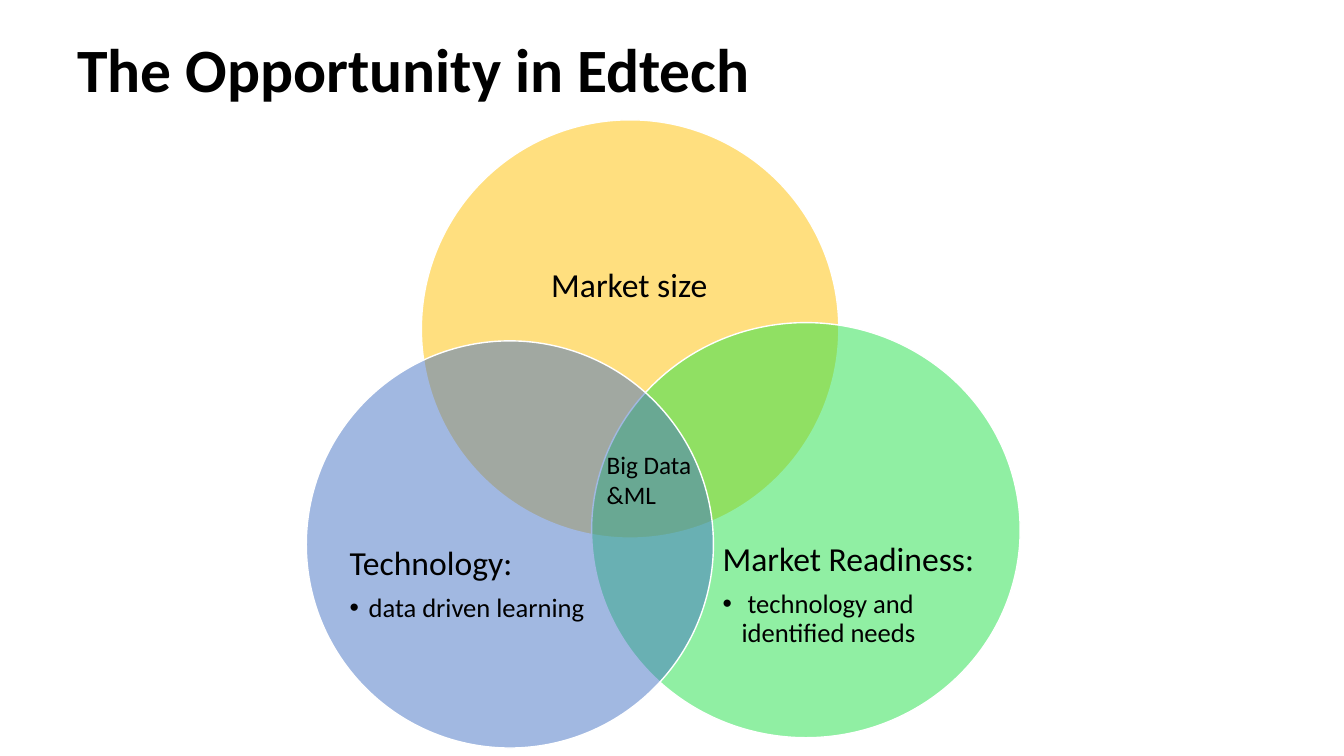
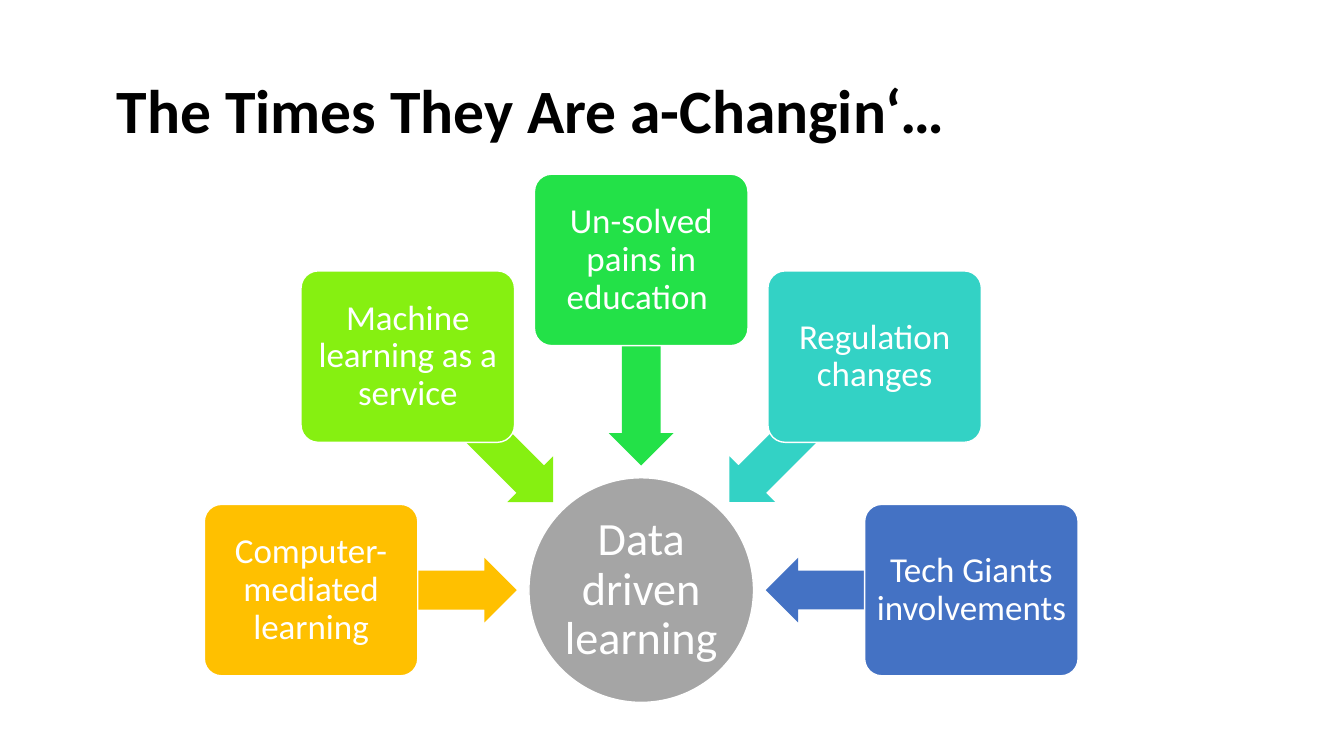
from dataclasses import dataclass
from math import cos, radians, sin
from typing import Any, Optional

from lxml.etree import SubElement
from pptx import Presentation
from pptx.dml.color import RGBColor
from pptx.enum.shapes import MSO_SHAPE as Preset
from pptx.enum.text import MSO_ANCHOR as Anchor, MSO_AUTO_SIZE as AutoSize, PP_ALIGN as Align
from pptx.oxml.ns import qn
from pptx.util import Cm, Pt

FONT = "Calibri"
BLACK, WHITE, GRAY = "000000", "FFFFFF", "A5A5A5"
AMBER, LIME, GREEN, TEAL, BLUE = "FFC000", "86F011", "23E148", "33D2C5", "4472C4"
TITLE_ONLY, TWO_CONTENT = 5, 3
TIGHT = 0.9


@dataclass(frozen=True)
class Box:
    left: float
    top: float
    width: float
    height: float

    def lengths(self) -> tuple:
        return tuple(Cm(v) for v in (self.left, self.top, self.width, self.height))


@dataclass(frozen=True)
class Circle:
    box: Box
    color: str


@dataclass(frozen=True)
class Topic:
    box: Box
    heading: str
    point: str


@dataclass(frozen=True)
class Driver:
    angle: int
    label: str
    color: str


CIRCLES = (
    Circle(Box(10.62, 3.02, 10.52, 10.54), AMBER),
    Circle(Box(14.91, 8.13, 10.8, 10.46), GREEN),
    Circle(Box(7.72, 8.59, 10.26, 10.26), BLUE),
)
TOPICS = (
    Topic(Box(8.81, 13.77, 6.15, 2.4), "Technology:", "data driven learning"),
    Topic(Box(18.21, 13.67, 6.48, 3), "Market Readiness:", " technology and identified needs"),
)
DRIVERS = (
    Driver(180, "Computer-mediated learning", AMBER),
    Driver(225, "Machine learning as a service", LIME),
    Driver(270, "Un-solved pains in education ", GREEN),
    Driver(315, "Regulation changes", TEAL),
    Driver(0, "Tech Giants involvements ", BLUE),
)

# Radial layout: centre, distances from it, and sizes in cm
HUB_X, HUB_Y, HUB_SIZE = 16.16, 14.87, 5.66
CARD_RADIUS, CARD_W, CARD_H = 8.32, 5.38, 4.32
ARROW_RADIUS, ARROW_W, ARROW_H = 5.73, 5.18, 1.63


def rgb(color: str) -> RGBColor:
    return RGBColor.from_string(color)


def apply(target: Any, values: dict) -> None:
    for name, value in values.items():
        setattr(target, name, value)


def set_frame(frame: Any, anchor: Any, margin: float) -> None:
    sides = ("margin_left", "margin_top", "margin_right", "margin_bottom")
    apply(frame, {"word_wrap": True, "auto_size": AutoSize.NONE, "vertical_anchor": anchor,
                  **{side: Cm(margin) for side in sides}})


def write(paragraph: Any, text: str, size: int, color: str = BLACK, align: Any = Align.LEFT,
          spacing: float = TIGHT, after: float = 0, bold: bool = False) -> None:
    apply(paragraph, {"alignment": align, "line_spacing": spacing,
                      "space_before": Pt(0), "space_after": Pt(after)})
    run = paragraph.add_run()
    run.text = text
    apply(run.font, {"name": FONT, "size": Pt(size), "bold": bold})
    run.font.color.rgb = rgb(color)


def place(shape: Any, box: Box) -> None:
    apply(shape, dict(zip(("left", "top", "width", "height"), box.lengths())))


def add_title(slide: Any, text: str, box: Box, spacing: float) -> None:
    title = slide.shapes.title
    place(title, box)
    set_frame(title.text_frame, Anchor.MIDDLE, 0.25)
    write(title.text_frame.paragraphs[0], text, 44, spacing=spacing, bold=True)


def add_figure(slide: Any, preset: Any, box: Box, color: str,
               outlined: bool = True, alpha: Optional[int] = None) -> Any:
    figure = slide.shapes.add_shape(preset, *box.lengths())
    figure.shadow.inherit = False
    figure.fill.solid()
    figure.fill.fore_color.rgb = rgb(color)
    if alpha is not None:
        tint = figure.element.spPr.find(qn("a:solidFill")).find(qn("a:srgbClr"))
        SubElement(tint, qn("a:alpha")).set("val", str(alpha * 1000))
    if outlined:
        figure.line.color.rgb = rgb(WHITE)
        figure.line.width = Pt(1)
    else:
        figure.line.fill.background()
    return figure


def add_label(slide: Any, text: str, box: Box, size: int, margin: float, anchor: Any,
              align: Any, spacing: float) -> None:
    label = slide.shapes.add_textbox(*box.lengths())
    set_frame(label.text_frame, anchor, margin)
    write(label.text_frame.paragraphs[0], text, size, align=align, spacing=spacing)


def set_bullet(paragraph: Any, indent: float, mark: str = "") -> None:
    properties = paragraph._p.get_or_add_pPr()
    properties.set("marL", str(Cm(indent)))
    properties.set("indent", str(-Cm(indent)))
    if mark:
        SubElement(properties, qn("a:buChar")).set("char", mark)
    else:
        SubElement(properties, qn("a:buNone"))


def fill_topic(body: Any, topic: Topic) -> None:
    place(body, topic.box)
    set_frame(body.text_frame, Anchor.TOP, 0)
    heading = body.text_frame.paragraphs[0]
    write(heading, topic.heading, 24, after=8.4)
    set_bullet(heading, 0)
    point = body.text_frame.add_paragraph()
    point.level = 1
    write(point, topic.point, 19)
    set_bullet(point, 0.48, "•")
    # Bring the list in front of the circles
    body.element.getparent().append(body.element)


def around_hub(angle: int, radius: float, width: float, height: float) -> Box:
    x = HUB_X + radius * cos(radians(angle))
    y = HUB_Y + radius * sin(radians(angle))
    return Box(x - width / 2, y - height / 2, width, height)


def add_caption(figure: Any, text: str, size: int, margin: float) -> None:
    set_frame(figure.text_frame, Anchor.MIDDLE, margin)
    write(figure.text_frame.paragraphs[0], text, size, WHITE, Align.CENTER)


def add_driver(slide: Any, driver: Driver) -> None:
    arrow = add_figure(slide, Preset.LEFT_ARROW,
                       around_hub(driver.angle, ARROW_RADIUS, ARROW_W, ARROW_H),
                       driver.color, outlined=False)
    arrow.adjustments[0], arrow.adjustments[1] = 0.6, 0.5
    arrow.rotation = driver.angle
    card = add_figure(slide, Preset.ROUNDED_RECTANGLE,
                      around_hub(driver.angle, CARD_RADIUS, CARD_W, CARD_H), driver.color)
    card.adjustments[0] = 0.1
    # The rounded corners already inset the text a little
    add_caption(card, driver.label, 25, 0.13)


def build_opportunity(deck: Any) -> None:
    slide = deck.slides.add_slide(deck.slide_layouts[TWO_CONTENT])
    add_title(slide, "The Opportunity in Edtech", Box(1.7, 0.13, 30.48, 3.18), 1.0)
    for circle in CIRCLES:
        add_figure(slide, Preset.OVAL, circle.box, circle.color, alpha=50)
    for index, topic in enumerate(TOPICS, start=1):
        fill_topic(slide.placeholders[index], topic)
    add_label(slide, "Market size", Box(12.01, 4.85, 7.7, 4.75), 24, 0,
              Anchor.MIDDLE, Align.CENTER, TIGHT)
    add_label(slide, "Big Data &ML", Box(15.04, 11.07, 2.97, 1.8), 18, 0.25,
              Anchor.TOP, Align.LEFT, 1.0)


def build_times(deck: Any) -> None:
    slide = deck.slides.add_slide(deck.slide_layouts[TITLE_ONLY])
    add_title(slide, " The Times They Are a-Changin‘…", Box(2.34, 1.02, 29.21, 3.68), TIGHT)
    hub = add_figure(slide, Preset.OVAL, around_hub(0, 0, HUB_SIZE, HUB_SIZE), GRAY)
    add_caption(hub, "Data driven learning", 33, 0.05)
    for driver in DRIVERS:
        add_driver(slide, driver)


def main() -> None:
    deck = Presentation()
    deck.slide_width, deck.slide_height = Cm(33.87), Cm(19.05)
    build_opportunity(deck)
    build_times(deck)
    deck.save("out.pptx")


if __name__ == "__main__":
    main()
